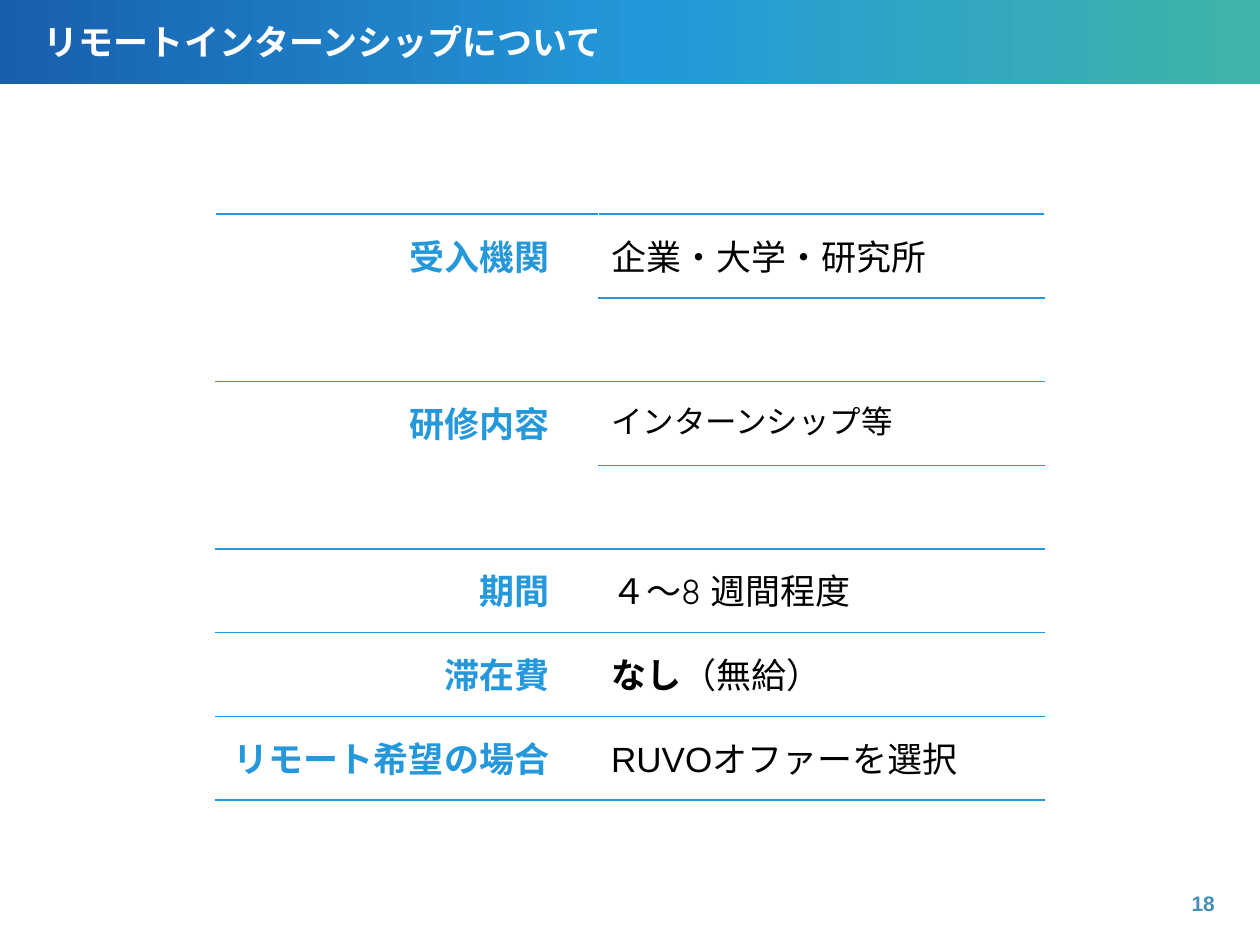
from pptx import Presentation
from pptx.dml.color import RGBColor
from pptx.enum.shapes import MSO_SHAPE as Shape
from pptx.enum.text import MSO_ANCHOR as Anchor, PP_ALIGN as Align
from pptx.oxml import parse_xml
from pptx.oxml.ns import nsdecls
from pptx.util import Inches, Pt

BLUE, WHITE, BLACK = "2498DA", "FFFFFF", "000000"
BANNER_STOPS = [(0, "185FAE"), (51, BLUE), (100, "3EB4A8")]
ROWS = [
    ("受入機関", [("企業・大学・研究所", {})]),
    None,
    ("研修内容", [("インターンシップ等", {"size": 18})]),
    None,
    ("期間", [("４～8 ", {"font": "Quicksand"}), ("週間程度", {})]),
    ("滞在費", [("なし", {"bold": True}), ("（無給）", {})]),
    ("リモート希望の場合", [("RUVOオファーを選択", {})]),
]


def color(value):
    return RGBColor.from_string(value)


def add_span(para, text, size=20, tint=BLACK, bold=False, font="Arial"):
    span = para.add_run()
    span.text = text
    span.font.name = font
    span.font.size = Pt(size)
    span.font.bold = bold
    span.font.color.rgb = color(tint)


def set_margins(holder, left, top, right, bottom):
    holder.margin_left, holder.margin_right = Inches(left), Inches(right)
    holder.margin_top, holder.margin_bottom = Inches(top), Inches(bottom)


def add_label(page, left, top, width, height):
    box = page.shapes.add_textbox(*map(Inches, (left, top, width, height)))
    frame = box.text_frame
    frame.word_wrap = True
    frame.vertical_anchor = Anchor.MIDDLE
    return frame


def add_banner(page, left, top, width, height):
    band = page.shapes.add_shape(
        Shape.RECTANGLE, *map(Inches, (left, top, width, height)))
    band.shadow.inherit = False
    band.line.fill.background()
    band.fill.gradient()
    band.fill.gradient_angle = 0
    stops = band.fill.gradient_stops
    stop_list = band.element.spPr.find(".//{*}gsLst")
    for stop in list(stop_list):
        stop_list.remove(stop)
    for position, tint in BANNER_STOPS:
        stop_list.append(parse_xml(
            f'<a:gs {nsdecls("a")} pos="{position * 1000}">'
            f'<a:srgbClr val="{tint}"/></a:gs>'))

    frame = add_label(page, left + 0.25, top, 7.74, height)
    set_margins(frame, 0.1, 0.08, 0.1, 0.05)
    para = frame.paragraphs[0]
    para.line_spacing = 0.9
    add_span(para, "リモートインターンシップについて", tint=WHITE, bold=True)


def set_borders(cell, **edges):
    for index, side in enumerate("LRTB"):
        tint, width = edges[side]
        cell._tc.get_or_add_tcPr().insert(index, parse_xml(
            f'<a:ln{side} {nsdecls("a")} w="{Pt(width)}"><a:solidFill>'
            f'<a:srgbClr val="{tint}"/></a:solidFill></a:ln{side}>'))


def row_rule(edge, column):
    if edge in (0, len(ROWS)):
        return BLUE, 1.5
    if column == 0 and ROWS[edge] is None:
        return WHITE, 1
    return BLUE, 1


def add_details(page, left, top, width, height):
    table = page.shapes.add_table(
        len(ROWS), 2, *map(Inches, (left, top, width, height))).table
    table.first_row = table.horz_banding = False
    table.columns[0].width = Inches(3.04)
    table.columns[1].width = Inches(width - 3.04)
    for index, content in enumerate(ROWS):
        table.rows[index].height = Inches(height / len(ROWS))
        for column in range(2):
            cell = table.cell(index, column)
            cell.fill.solid()
            cell.fill.fore_color.rgb = color(WHITE)
            set_borders(cell, L=(WHITE, 1), R=(WHITE, 1),
                        T=row_rule(index, column),
                        B=row_rule(index + 1, column))
            set_margins(cell, 0.1, 0.12, 0.1 if column else 0.39, 0.05)
            if content is None:
                continue
            para = cell.text_frame.paragraphs[0]
            if column == 0:
                para.alignment = Align.RIGHT
                add_span(para, content[0], tint=BLUE, bold=True)
            else:
                for text, style in content[1]:
                    add_span(para, text, **style)


def add_page_number(page, left, top, width, height):
    para = add_label(page, left, top, width, height).paragraphs[0]
    para.alignment = Align.RIGHT
    add_span(para, "18", size=12, tint="478EB4", bold=True)


def main():
    deck = Presentation()
    deck.slide_width, deck.slide_height = Inches(10), Inches(7.5)
    page = deck.slides.add_slide(deck.slide_layouts[6])
    add_banner(page, 0, 0, 10, 0.67)
    add_details(page, 1.71, 1.7, 6.58, 4.65)
    add_page_number(page, 7.49, 6.97, 2.25, 0.4)
    deck.save("out.pptx")


if __name__ == "__main__":
    main()
